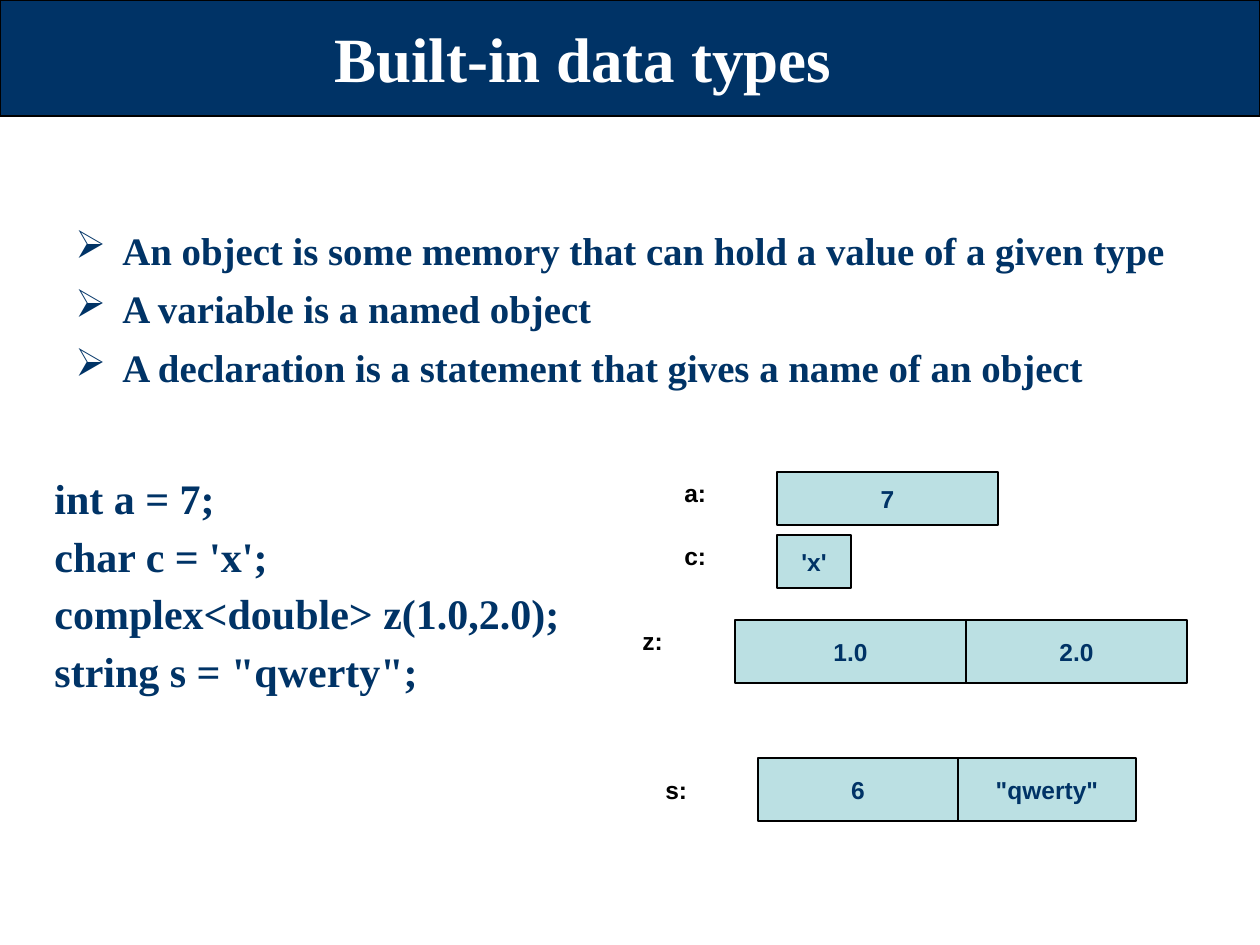
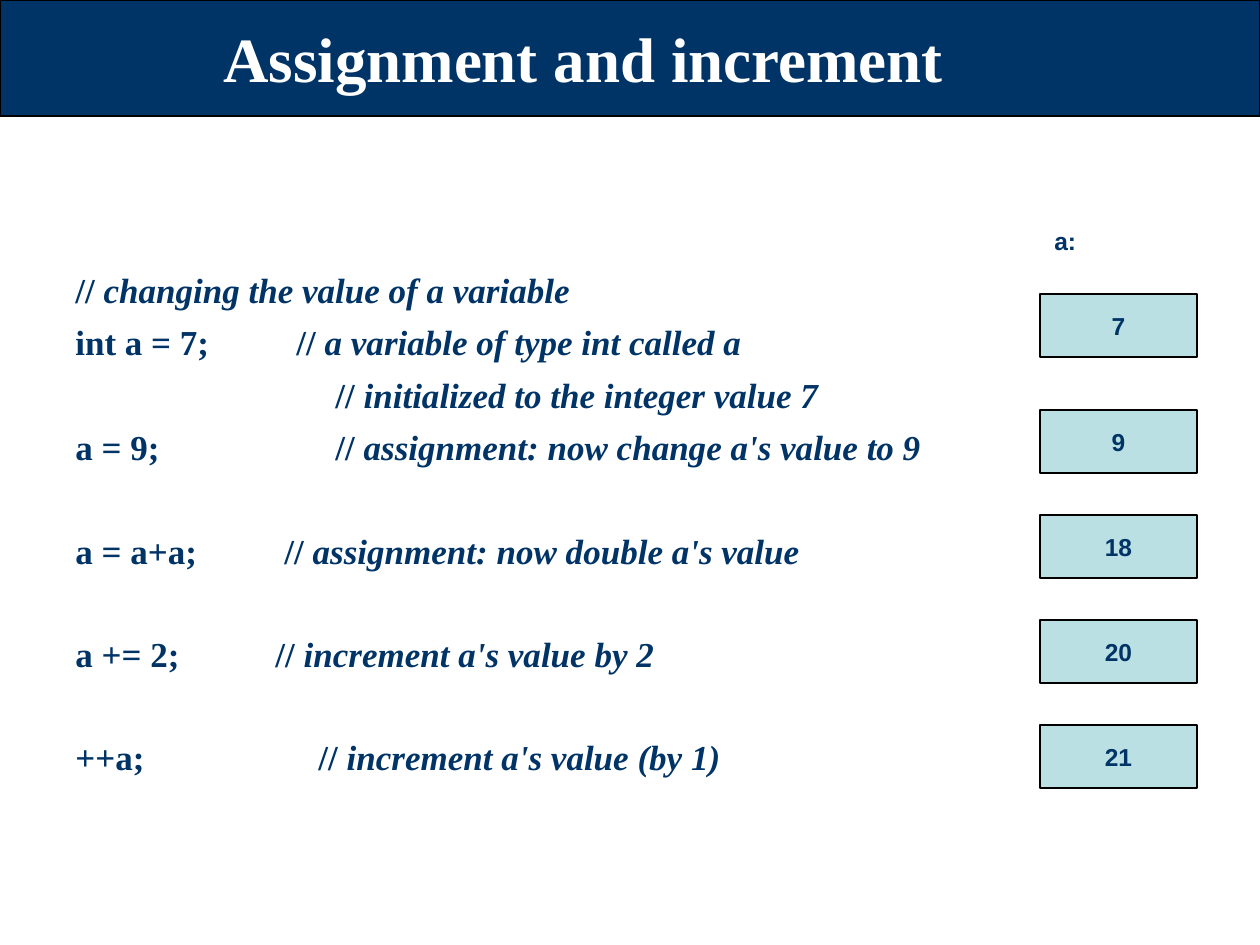
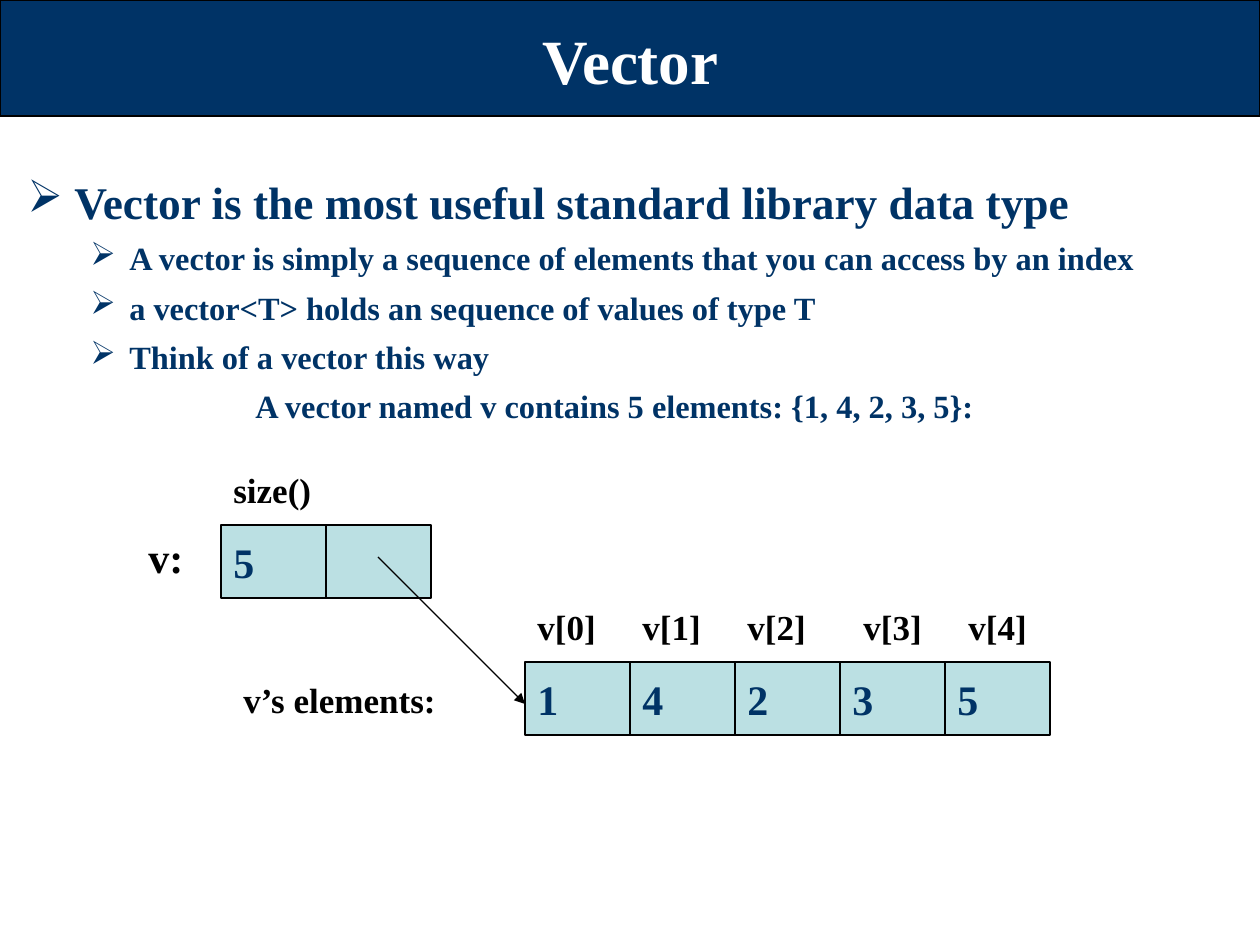
from lxml.etree import SubElement
from pptx import Presentation
from pptx.dml.color import RGBColor
from pptx.enum.shapes import MSO_CONNECTOR, MSO_SHAPE
from pptx.enum.text import MSO_ANCHOR, MSO_AUTO_SIZE, PP_ALIGN
from pptx.oxml.ns import qn
from pptx.util import Pt

PX = 914400 / 126
COLORS = {"navy": "003366", "cell": "BBE0E3", "black": "000000", "white": "FFFFFF"}
RGB = {name: RGBColor.from_string(value) for name, value in COLORS.items()}
SERIF, SANS = "Times New Roman", "Arial"


def add_text(s, at, lines, size, color="navy", font=SERIF, before=0, bullet=None):
    """Add a text box; bullet is the (left margin, hanging indent) of bulleted lines."""
    tb = s.shapes.add_textbox(*(round(v * PX) for v in at))
    tf = tb.text_frame
    tf.word_wrap = True
    tf.text = "\n".join(lines)
    for i, p in enumerate(tf.paragraphs):
        if bullet:
            pPr = p._p.get_or_add_pPr()
            pPr.set("marL", str(round(bullet[0] * PX)))
            pPr.set("indent", str(round(-bullet[1] * PX)))
            SubElement(pPr, qn("a:buChar")).set("char", "➢")
        if i and before:
            p.space_before = Pt(before)
        f = p.runs[0].font
        f.name, f.size, f.bold = font, Pt(size), True
        f.color.rgb = RGB[color]
    return tf


def add_cell(s, at, text, size=14, font=SANS, align=PP_ALIGN.CENTER):
    """Add a memory cell: a pale box holding one value."""
    sp = s.shapes.add_shape(MSO_SHAPE.RECTANGLE, *(round(v * PX) for v in at))
    sp.shadow.inherit = False
    sp.fill.solid()
    sp.fill.fore_color.rgb = RGB["cell"]
    sp.line.color.rgb = RGB["black"]
    sp.line.width = Pt(0.75)
    if text:
        tf = sp.text_frame
        tf.text = text
        tf.vertical_anchor = MSO_ANCHOR.MIDDLE
        p = tf.paragraphs[0]
        p.alignment = align
        f = p.runs[0].font
        f.name, f.size, f.bold = font, Pt(size), True
        f.color.rgb = RGB["navy"]
    return sp


prs = Presentation()
prs.slide_width, prs.slide_height = round(1260 * PX), round(945 * PX)
layout = prs.slide_layouts[5]

# Slides with their titles
titles = [
    ("Built-in data types", (32, 10, 1102, 95)),
    ("Assignment and increment", (32, 10, 1102, 95)),
    ("Vector", (95, 0, 1071, 118)),
]
slides = []
for text, at in titles:
    s = prs.slides.add_slide(layout)
    title = s.shapes.title
    title.left, title.top, title.width, title.height = (round(v * PX) for v in at)
    tf = title.text_frame
    tf.text = text
    tf.auto_size = MSO_AUTO_SIZE.NONE
    tf.vertical_anchor = MSO_ANCHOR.MIDDLE
    tf.paragraphs[0].alignment = PP_ALIGN.CENTER
    f = tf.paragraphs[0].runs[0].font
    f.name, f.size, f.bold = SERIF, Pt(36), True
    f.color.rgb = RGB["white"]
    slides.append(s)
types, assignment, vector = slides

# Title band, shared through the layout
band = add_cell(types, (0, 0, 1260, 116), "")
band.fill.fore_color.rgb = RGB["navy"]
band.element.nvSpPr.cNvPr.set("id", "20")
layout.shapes.element.insert(2, band.element)

# Slide 1: definitions, declarations and their memory
add_text(types, (63, 220, 1166, 231), [
    "An object is some memory that can hold a value of a given type",
    "A variable is a named object",
    "A declaration is a statement that gives a name of an object",
], 22.2, before=7, bullet=(47, 47))
code = add_text(types, (42, 472, 598, 445), [
    "int a = 7;",
    "char c = 'x';",
    "complex<double> z(1.0,2.0);",
    'string s = "qwerty";',
], 24, before=7)
for p in code.paragraphs:
    p.line_spacing = 0.9

for at, text in [
    ((777, 472, 221, 53), "7"),
    ((777, 535, 74, 53), "'x'"),
    ((735, 620, 231, 63), "1.0"),
    ((966, 620, 221, 63), "2.0"),
    ((758, 758, 200, 63), "6"),
    ((958, 758, 178, 63), '"qwerty"'),
]:
    add_cell(types, at, text)
for x, y, text in [(672, 472, "a:"), (672, 535, "c:"), (630, 620, "z:"), (653, 769, "s:")]:
    add_text(types, (x, y, 74, 43), [text], 14, "black", SANS)

# Slide 2: code rows as (code, comment column, comment, space before)
rows = [
    ("", 0, "changing the value of a variable", 0),
    ("int a = 7;", 221, "a variable of type int called a", 6),
    ("", 260, "initialized to the integer value 7", 6),
    ("a = 9;", 260, "assignment: now change a's value to 9", 6),
    ("a = a+a;", 209, "assignment: now double a's value", 35),
    ("a += 2;", 200, "increment a's value by 2", 35),
    ("++a;", 243, "increment a's value (by 1)", 35),
]
lines = [code + ("\t// " if column else "// ") for code, column, _, _ in rows]
tf = add_text(assignment, (63, 262, 914, 567), lines, 20)
for p, (_, column, comment, before) in zip(tf.paragraphs, rows):
    if column:
        tabs = SubElement(p._p.get_or_add_pPr(), qn("a:tabLst"))
        SubElement(tabs, qn("a:tab"), pos=str(round(column * PX)), algn="l")
        p.space_before = Pt(before)
    r = p.add_run()
    r.text = comment
    r.font.name, r.font.size = SERIF, Pt(20)
    r.font.bold = r.font.italic = True
    r.font.color.rgb = RGB["navy"]

add_text(assignment, (1042, 220, 60, 43), ["a:"], 14, font=SANS)
for y, value in zip([294, 410, 515, 620, 725], ["7", "9", "18", "20", "21"]):
    add_cell(assignment, (1040, y, 157, 63), value)

# Slide 3: vector description
add_text(vector, (15, 168, 1245, 262),
         ["Vector is the most useful standard library data type"], 25.9, bullet=(47, 47))
tf = add_text(vector, (15, 232, 1245, 198), [
    "A vector is simply a sequence of elements that you can access by an index",
    "a vector<T> holds an sequence of values of type T",
    "Think of a vector this way",
    "A vector named v contains 5 elements: {1, 4, 2, 3, 5}:",
], 18.5, before=6, bullet=(102, 39))
pPr = tf.paragraphs[-1]._p.get_or_add_pPr()
pPr.remove(pPr.find(qn("a:buChar")))
pPr.set("marL", str(round(228 * PX)))
pPr.set("indent", "0")

# Slide 3: vector header and its elements
CELL_W, CELL_H = 105, 73
for x, y, values in [(221, 525, ["5", ""]), (525, 662, ["1", "4", "2", "3", "5"])]:
    for i, value in enumerate(values):
        add_cell(vector, (x + i * CELL_W, y, CELL_W, CELL_H), value, 24, SERIF, PP_ALIGN.LEFT)
for i, x in enumerate([525, 630, 735, 851, 956]):
    add_text(vector, (x, 599, 105, 55), [f"v[{i}]"], 20, "black")
add_text(vector, (221, 462, 116, 55), ["size()"], 20, "black")
add_text(vector, (231, 672, 242, 55), ["v’s elements:"], 20, "black")
add_text(vector, (136, 525, 70, 63), ["v:"], 24, "black")

# Slide 3: pointer from the header to the elements
arrow = vector.shapes.add_connector(
    MSO_CONNECTOR.STRAIGHT, *(round(v * PX) for v in (378, 557, 525, 704)))
arrow.line.color.rgb = RGB["black"]
arrow.line.width = Pt(0.75)
SubElement(arrow.line._get_or_add_ln(), qn("a:tailEnd")).set("type", "triangle")
SubElement(arrow.element.spPr, qn("a:effectLst"))

prs.save("out.pptx")
